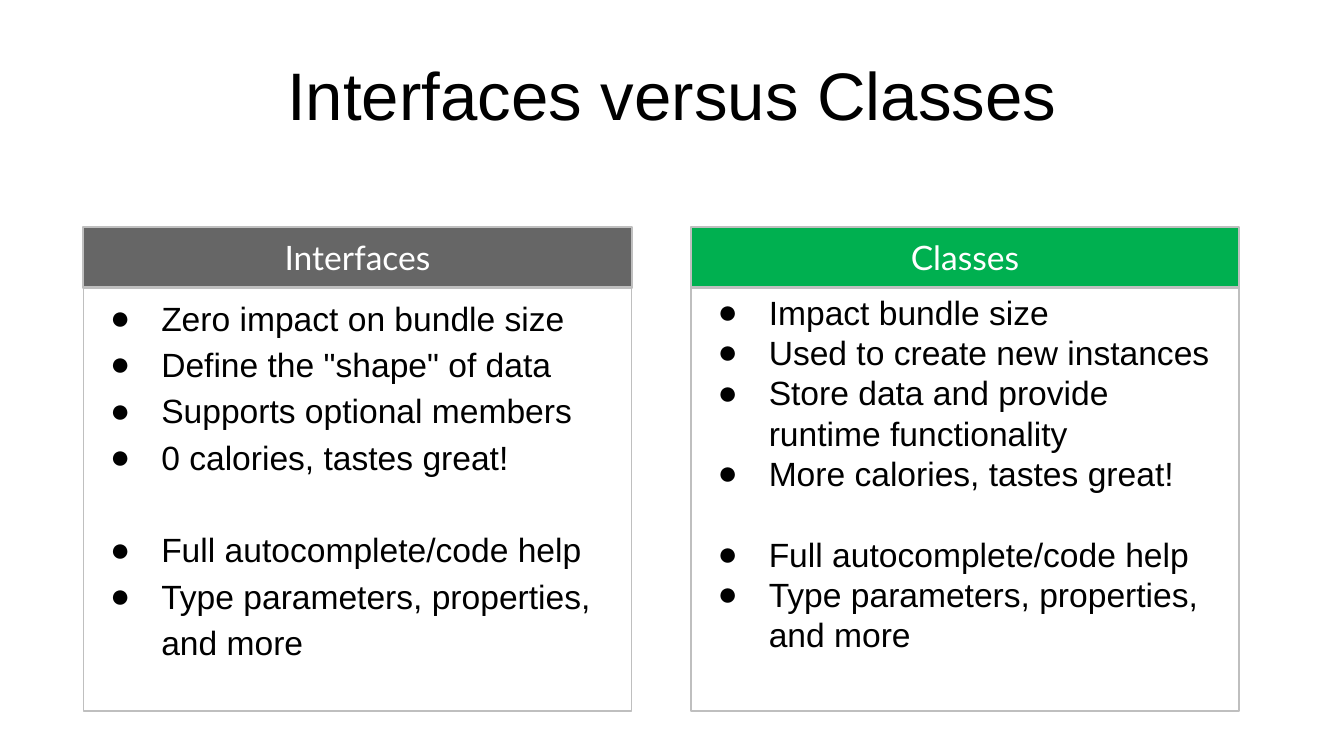
from dataclasses import dataclass

from lxml.etree import SubElement
from pptx import Presentation
from pptx.dml.color import RGBColor
from pptx.enum.shapes import MSO_SHAPE
from pptx.enum.text import MSO_ANCHOR, PP_ALIGN
from pptx.oxml.ns import qn
from pptx.shapes.autoshape import Shape
from pptx.slide import Slide
from pptx.text.text import TextFrame
from pptx.util import Inches, Pt

BLACK = RGBColor(0x00, 0x00, 0x00)
WHITE = RGBColor(0xFF, 0xFF, 0xFF)
GRAY = RGBColor(0x66, 0x66, 0x66)
GREEN = RGBColor(0x00, 0xB0, 0x50)
BORDER = RGBColor(0xBF, 0xBF, 0xBF)

CARD_LEFT = 0.62
CARD_PITCH = 4.52
CARD_WIDTH = 4.08
HEADER_TOP = 1.69
HEADER_HEIGHT = 0.45
BODY_TOP = 2.13
BODY_HEIGHT = 3.16

SHARED_POINTS = ("Full autocomplete/code help", "Type parameters, properties, and more")


@dataclass(frozen=True)
class Card:
    heading: str
    color: RGBColor
    points: tuple[str, ...]
    line_spacing: float
    group_gap: float


CARDS = (
    Card(
        "Interfaces",
        GRAY,
        (
            "Zero impact on bundle size",
            'Define the "shape" of data',
            "Supports optional members",
            "0 calories, tastes great!",
        ),
        1.15,
        24.8,
    ),
    Card(
        "Classes",
        GREEN,
        (
            "Impact bundle size",
            "Used to create new instances",
            "Store data and provide runtime functionality",
            "More calories, tastes great!",
        ),
        1.0,
        21.6,
    ),
)


def set_frame(frame: TextFrame, anchor: MSO_ANCHOR, side: float, edge: float) -> None:
    frame.word_wrap = True
    frame.vertical_anchor = anchor
    frame.margin_left = frame.margin_right = Inches(side)
    frame.margin_top = frame.margin_bottom = Inches(edge)


def write_line(paragraph, text: str, align: PP_ALIGN, font: str, size: float, color: RGBColor) -> None:
    paragraph.text = text
    paragraph.alignment = align
    paragraph.font.name = font
    paragraph.font.size = Pt(size)
    paragraph.font.color.rgb = color


def add_bullet(paragraph) -> None:
    properties = paragraph._p.get_or_add_pPr()
    properties.set("marL", str(Inches(0.5)))
    properties.set("indent", str(Inches(-0.38)))
    color = SubElement(properties, qn("a:buClr"))
    SubElement(color, qn("a:srgbClr"), val=str(BLACK))
    SubElement(properties, qn("a:buFont"), typeface="Arial")
    SubElement(properties, qn("a:buChar"), char="●")


def add_box(page: Slide, left: float, top: float, height: float, line_width: float) -> Shape:
    box = page.shapes.add_shape(
        MSO_SHAPE.RECTANGLE, Inches(left), Inches(top), Inches(CARD_WIDTH), Inches(height)
    )
    box.shadow.inherit = False
    box.fill.background()
    box.line.color.rgb = BORDER
    box.line.width = Pt(line_width)
    return box


def add_header(page: Slide, card: Card, left: float) -> None:
    header = add_box(page, left, HEADER_TOP, HEADER_HEIGHT, 1)
    header.fill.solid()
    header.fill.fore_color.rgb = card.color
    set_frame(header.text_frame, MSO_ANCHOR.MIDDLE, 0.1, 0.1)
    write_line(header.text_frame.paragraphs[0], card.heading, PP_ALIGN.CENTER, "Lato", 18, WHITE)


def add_body(page: Slide, card: Card, left: float) -> None:
    frame = add_box(page, left, BODY_TOP, BODY_HEIGHT, 0.75).text_frame
    set_frame(frame, MSO_ANCHOR.TOP, 0.08, 0.04)
    for index, point in enumerate(card.points + SHARED_POINTS):
        paragraph = frame.add_paragraph() if index else frame.paragraphs[0]
        add_bullet(paragraph)
        write_line(paragraph, point, PP_ALIGN.LEFT, "Arial", 18, BLACK)
        paragraph.line_spacing = card.line_spacing
        paragraph.space_before = Pt(card.group_gap if index == len(card.points) else 0)


def set_title(page: Slide, text: str) -> None:
    title = page.shapes.title
    title.left, title.top = Inches(0.5), Inches(0.23)
    title.width, title.height = Inches(9), Inches(0.94)
    set_frame(title.text_frame, MSO_ANCHOR.MIDDLE, 0.1, 0.1)
    write_line(title.text_frame.paragraphs[0], text, PP_ALIGN.CENTER, "Arial", 36, BLACK)


def main() -> None:
    deck = Presentation()
    deck.slide_width, deck.slide_height = Inches(10), Inches(10 * 9 / 16)
    page = deck.slides.add_slide(deck.slide_layouts[5])
    set_title(page, "Interfaces versus Classes")
    for column, card in enumerate(CARDS):
        left = CARD_LEFT + column * CARD_PITCH
        add_header(page, card, left)
        add_body(page, card, left)
    deck.save("out.pptx")


if __name__ == "__main__":
    main()
